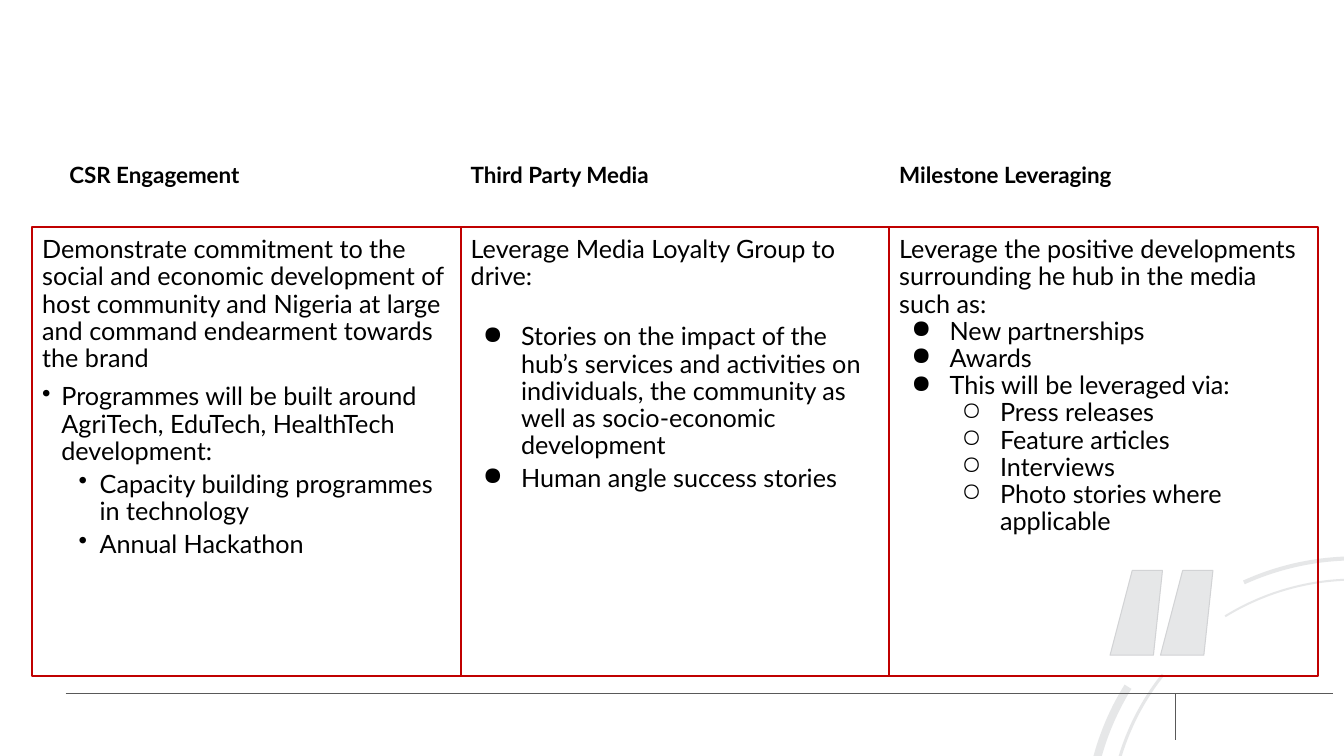
from math import cos, radians, sin

from lxml import etree
from pptx import Presentation
from pptx import util as u
from pptx.dml.color import RGBColor
from pptx.enum import shapes, text
from pptx.oxml import ns

Inches, Pt = u.Inches, u.Pt
COLORS = {"text": "000000", "frame": "C00000", "rule": "595959",
          "pale": "E6E7E8", "edge": "D2D3D5"}
FONT = "Lato"
COLUMN_LEFT, COLUMN_WIDTH = 0.32, 4.25

# Paragraph styles: level, left margin, hanging indent, bullet
PLAIN = (0, 0, 0, None)
DOT = (0, 0.19, -0.21, "•")
SUB_DOT = (1, 0.57, -0.21, "•")
DISC = (0, 0.5, -0.38, "●")
RING = (1, 1, -0.38, "○")

# Heading, heading left, heading width, body of (style, space before, wording)
COLUMNS = [
    ("CSR Engagement", 0.59, 3.49, [
        (PLAIN, 0, "Demonstrate commitment to the social and economic development of "
                   "host community and Nigeria at large and command endearment "
                   "towards the brand"),
        (DOT, 8, "Programmes will be built around AgriTech, EduTech, HealthTech "
                 "development:"),
        (SUB_DOT, 4, "Capacity building programmes in technology"),
        (SUB_DOT, 4, "Annual Hackathon"),
    ]),
    ("Third Party Media", 4.57, 2.62, [
        (PLAIN, 0, "Leverage Media Loyalty Group to drive:"),
        (DISC, 23.5, "Stories on the impact of the hub’s services and activities on "
                     "individuals, the community as well as socio-economic development"),
        (DISC, 4, "Human angle success stories"),
    ]),
    ("Milestone Leveraging", 8.82, 2.62, [
        (PLAIN, 0, "Leverage the positive developments surrounding he hub in the "
                   "media such as:"),
        (DISC, 0, "New partnerships"),
        (DISC, 0, "Awards"),
        (DISC, 0, "This will be leveraged via:"),
        (RING, 0, "Press releases"),
        (RING, 0, "Feature articles"),
        (RING, 0, "Interviews"),
        (RING, 0, "Photo stories where applicable"),
    ]),
]

# Concentric bands: inner radius, outer radius, start and end angle
ARC_CENTER = (13.44, 8.21)
ARCS = [(2.61, 2.69, 14.5, 31.8), (2.42, 2.45, 15.9, 38.5),
        (2.45, 2.47, 58.4, 88.4), (2.65, 2.69, 65.6, 88.5)]


def rgb(name):
    return RGBColor.from_string(COLORS[name])


def arc_band(inner, outer, start, end, steps=24):
    """Outline of a band of a ring, angles counted up from the left."""
    angles = [radians(start + (end - start) * i / steps) for i in range(steps + 1)]
    rim = [(outer, a) for a in angles] + [(inner, a) for a in reversed(angles)]
    x, y = ARC_CENTER
    return [(x - r * cos(a), y - r * sin(a)) for r, a in rim]


def add_outlines(slide, outlines, edge=None):
    """Draw several closed outlines as one pale shape."""
    outlines = [[(Inches(x), Inches(y)) for x, y in points] for points in outlines]
    builder = slide.shapes.build_freeform(*outlines[0][0])
    for number, points in enumerate(outlines):
        if number:
            builder.move_to(*points[0])
        builder.add_line_segments(points[1:], close=True)
    ornament = builder.convert_to_shape()
    ornament.shadow.inherit = False
    ornament.fill.solid()
    ornament.fill.fore_color.rgb = rgb("pale")
    if edge:
        ornament.line.color.rgb = rgb(edge)
        ornament.line.width = Pt(0.75)
    else:
        ornament.line.fill.background()


def add_rule(slide, x1, y1, x2, y2):
    rule = slide.shapes.add_connector(
        shapes.MSO_CONNECTOR.STRAIGHT, Inches(x1), Inches(y1), Inches(x2), Inches(y2))
    rule.line.color.rgb = rgb("rule")
    rule.line.width = Pt(0.75)
    etree.SubElement(rule._element.spPr, ns.qn("a:effectLst"))


def prepare_frame(holder):
    frame = holder.text_frame
    frame.word_wrap = True
    frame.vertical_anchor = text.MSO_ANCHOR.TOP
    frame.margin_left = frame.margin_right = Inches(0.1)
    frame.margin_top = frame.margin_bottom = Inches(0.1)
    return frame


def add_run(paragraph, wording, size, bold=False):
    paragraph.alignment = text.PP_ALIGN.LEFT
    run = paragraph.add_run()
    run.text = wording
    run.font.name, run.font.size, run.font.bold = FONT, Pt(size), bold
    run.font.color.rgb = rgb("text")


def set_bullet(paragraph, left, hanging, mark):
    props = paragraph._p.get_or_add_pPr()
    props.set("marL", str(Inches(left)))
    props.set("indent", str(Inches(hanging)))
    color = etree.SubElement(props, ns.qn("a:buClr"))
    etree.SubElement(color, ns.qn("a:srgbClr"), val=COLORS["text"])
    etree.SubElement(props, ns.qn("a:buChar"), char=mark)


def add_heading(slide, wording, left, width):
    heading = slide.shapes.add_textbox(
        Inches(left), Inches(1.5), Inches(width), Inches(0.61))
    add_run(prepare_frame(heading).paragraphs[0], wording, 16, bold=True)


def add_panel(slide, left, body):
    panel = slide.shapes.add_shape(
        shapes.MSO_SHAPE.RECTANGLE, Inches(left), Inches(2.25),
        Inches(COLUMN_WIDTH), Inches(4.46))
    panel.shadow.inherit = False
    panel.fill.background()
    panel.line.color.rgb = rgb("frame")
    panel.line.width = Pt(1.5)
    frame = prepare_frame(panel)
    for number, ((level, margin, hanging, mark), before, wording) in enumerate(body):
        paragraph = frame.add_paragraph() if number else frame.paragraphs[0]
        paragraph.level = level
        paragraph.line_spacing = 0.9
        if before:
            paragraph.space_before = Pt(before)
        if mark:
            set_bullet(paragraph, margin, hanging, mark)
        add_run(paragraph, wording, 18)


def main():
    deck = Presentation()
    deck.slide_width, deck.slide_height = Inches(13.33), Inches(7.5)
    slide = deck.slides.add_slide(deck.slide_layouts[6])

    # Corner ornament: ring bands and a pair of quote strokes
    add_outlines(slide, [arc_band(*arc) for arc in ARCS])
    add_outlines(slide, [[(x + 0.22, 5.66), (x + 0.52, 5.66), (x + 0.43, 6.5), (x, 6.5)]
                         for x in (11.01, 11.51)], edge="edge")

    # Footer rules
    add_rule(slide, 11.66, 6.89, 11.66, 7.34)
    add_rule(slide, 0.65, 6.88, 13.22, 6.88)

    # Three columns
    for number, (heading, left, width, body) in enumerate(COLUMNS):
        add_panel(slide, COLUMN_LEFT + number * COLUMN_WIDTH, body)
        add_heading(slide, heading, left, width)

    deck.save("out.pptx")


if __name__ == "__main__":
    main()
